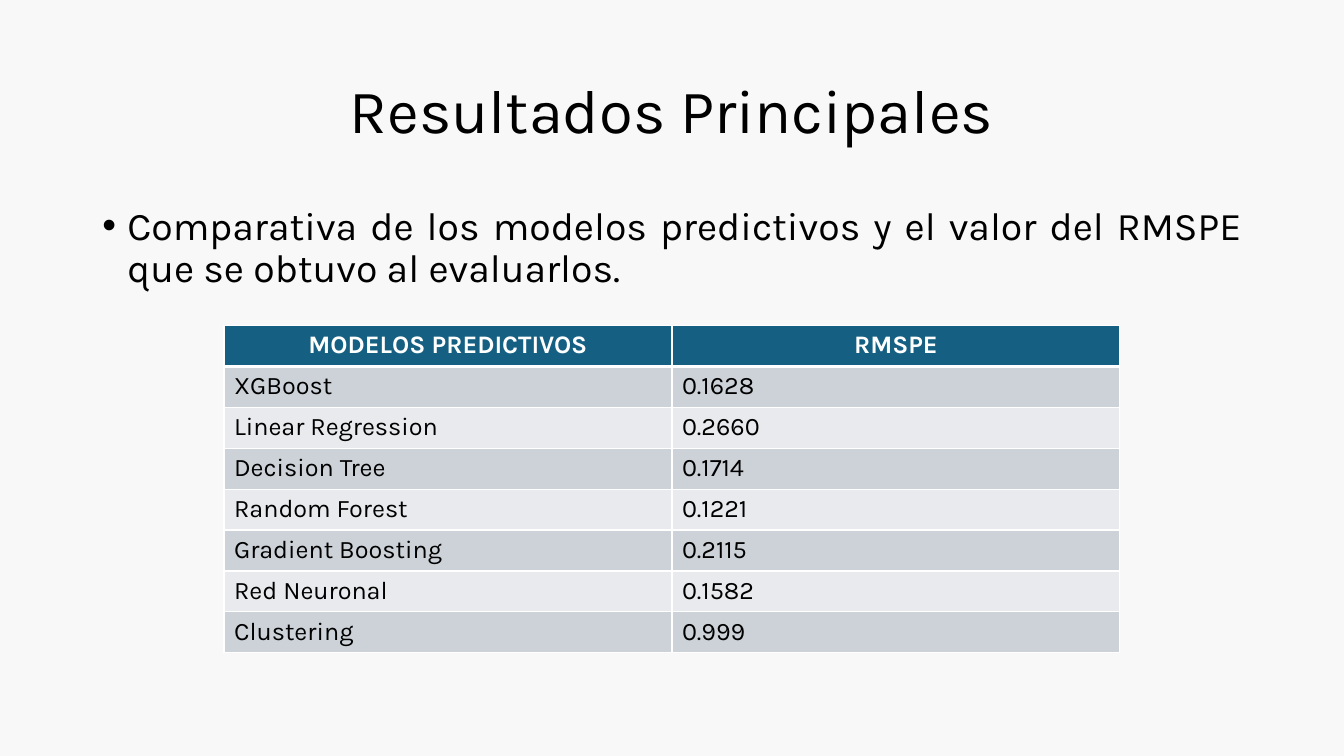
from lxml.etree import SubElement
from pptx import Presentation
from pptx.dml.color import RGBColor
from pptx.enum.text import MSO_ANCHOR, PP_ALIGN
from pptx.oxml import parse_xml
from pptx.oxml.ns import qn, nsdecls
from pptx.util import Pt

TITLE = "Resultados Principales"
BODY = "Comparativa de los modelos predictivos y el valor del RMSPE que se obtuvo al evaluarlos."
ROWS = [
    ("MODELOS PREDICTIVOS", "RMSPE"),
    ("XGBoost", "0.1628"),
    ("Linear Regression", "0.2660"),
    ("Decision Tree", "0.1714"),
    ("Random Forest", "0.1221"),
    ("Gradient Boosting", "0.2115"),
    ("Red Neuronal", "0.1582"),
    ("Clustering", "0.999"),
]

BLACK = RGBColor(0, 0, 0)
WHITE = RGBColor(0xFF, 0xFF, 0xFF)
PAPER = RGBColor(0xF8, 0xF8, 0xF8)
TEAL = RGBColor(0x15, 0x60, 0x82)
BANDS = [RGBColor(0xE8, 0xEA, 0xED), RGBColor(0xCC, 0xD2, 0xD8)]

WIDTH, HEIGHT = 960, 540
TEXT_W, TABLE_W = 828, 640
TABLE_TOP, ROW_H = 232.6, 29.2
INDENT = 18


def style(para, font, form):
    for key, value in form.items():
        setattr(para, key, value)
    for key, value in font.items():
        setattr(para.runs[0].font, key, value)
    para.runs[0].font.color.rgb = BLACK


def add_text(slide, text, top, height, anchor, font, form):
    box = slide.shapes.add_textbox(
        Pt((WIDTH - TEXT_W) / 2), Pt(top), Pt(TEXT_W), Pt(height))
    frame = box.text_frame
    frame.word_wrap = True
    frame.vertical_anchor = anchor
    frame.text = text
    style(frame.paragraphs[0], font, form)
    return frame.paragraphs[0]


def add_bullet(para):
    props = para._p.get_or_add_pPr()
    props.set("marL", str(Pt(INDENT)))
    props.set("indent", str(-Pt(INDENT)))
    SubElement(props, qn("a:buFont")).set("typeface", "Arial")
    SubElement(props, qn("a:buChar")).set("char", "•")


def add_edges(cell, edges):
    props = cell._tc.get_or_add_tcPr()
    for place, (side, width) in enumerate(edges.items()):
        props.insert(place, parse_xml(
            f'<a:ln{side} {nsdecls("a")} w="{Pt(width)}"><a:solidFill>'
            f'<a:srgbClr val="{WHITE}"/></a:solidFill></a:ln{side}>'))


def add_grid(slide):
    count = len(ROWS)
    table = slide.shapes.add_table(
        count, 2, Pt((WIDTH - TABLE_W) / 2), Pt(TABLE_TOP),
        Pt(TABLE_W), Pt(ROW_H * count)).table
    for col in table.columns:
        col.width = Pt(TABLE_W / 2)
    for r, row in enumerate(ROWS):
        table.rows[r].height = Pt(ROW_H)
        head = r == 0
        for c, text in enumerate(row):
            cell = table.cell(r, c)
            cell.text = text
            para = cell.text_frame.paragraphs[0]
            style(para, {"name": "Karla", "size": Pt(18), "bold": head},
                  {"alignment": PP_ALIGN.CENTER if head else PP_ALIGN.LEFT})
            if head:
                para.runs[0].font.color.rgb = WHITE
            cell.fill.solid()
            cell.fill.fore_color.rgb = TEAL if head else BANDS[r % 2]
            add_edges(cell, {"L": 1, "R": 1, "T": 3 if r == 1 else 1,
                             "B": 3 if head else 1})


def main():
    deck = Presentation()
    deck.slide_width, deck.slide_height = Pt(WIDTH), Pt(HEIGHT)
    slide = deck.slides.add_slide(deck.slide_layouts[6])
    slide.background.fill.solid()
    slide.background.fill.fore_color.rgb = PAPER
    add_text(slide, TITLE, 28.8, 104.4, MSO_ANCHOR.MIDDLE,
             {"name": "Karla", "size": Pt(44)},
             {"alignment": PP_ALIGN.CENTER, "line_spacing": 0.9})
    add_bullet(add_text(
        slide, BODY, 144, 342.6, MSO_ANCHOR.TOP,
        {"name": "Karla", "size": Pt(28)},
        {"alignment": PP_ALIGN.JUSTIFY, "line_spacing": 0.9,
         "space_before": Pt(10)}))
    add_grid(slide)
    deck.save("out.pptx")


if __name__ == "__main__":
    main()
